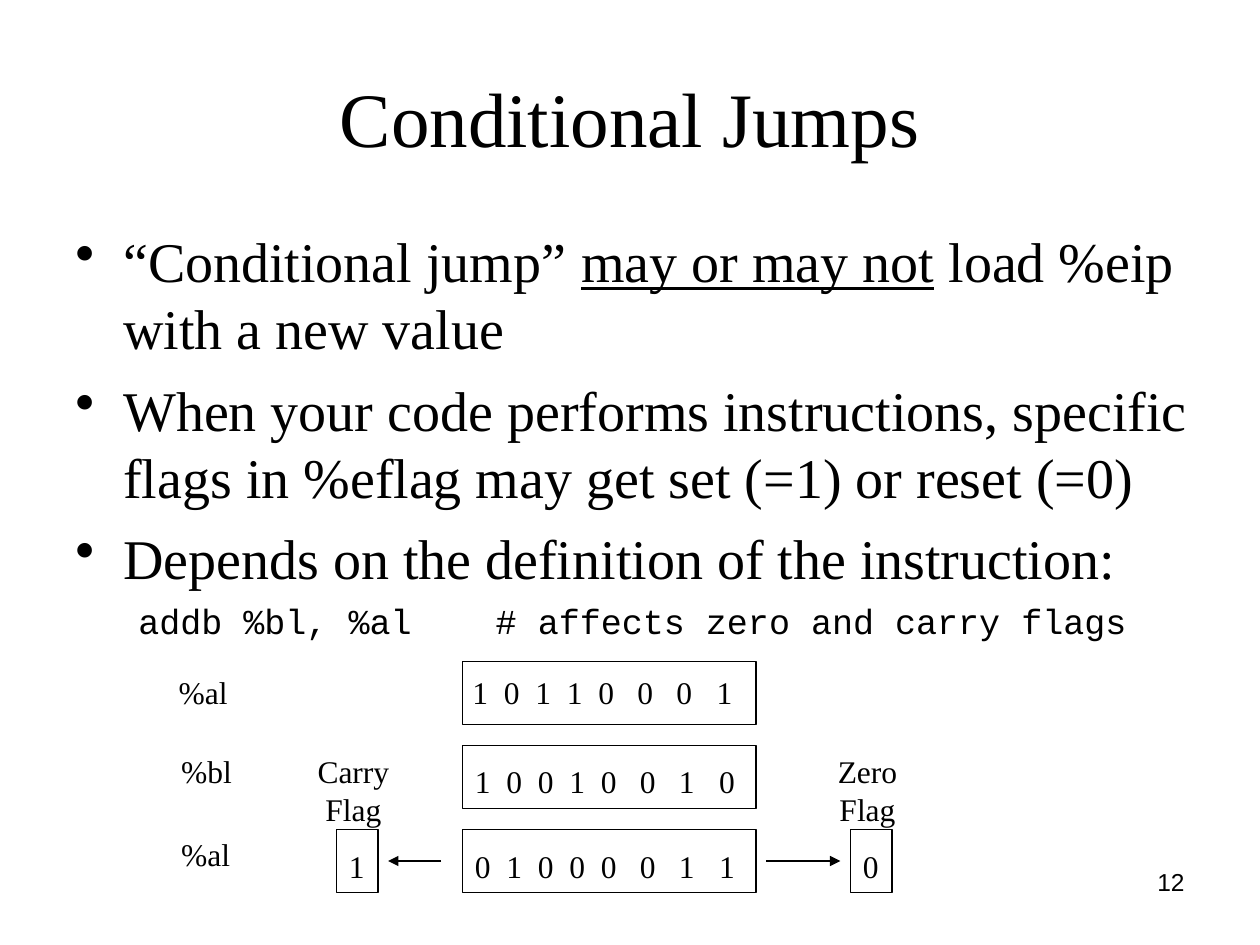
from pptx import Presentation
from pptx.dml.color import RGBColor
from pptx.enum.shapes import MSO_CONNECTOR, MSO_SHAPE
from pptx.enum.text import MSO_ANCHOR, PP_ALIGN
from pptx.oxml.ns import qn
from pptx.util import Inches, Pt
from lxml import etree

BLACK = RGBColor(0, 0, 0)
SERIF, SANS, MONO = "Times New Roman", "Arial", "Courier New"
LEFT, CENTER, RIGHT = PP_ALIGN.LEFT, PP_ALIGN.CENTER, PP_ALIGN.RIGHT
MIDDLE = MSO_ANCHOR.MIDDLE
RECTANGLE = MSO_SHAPE.RECTANGLE
STRAIGHT = MSO_CONNECTOR.STRAIGHT

TITLE = "Conditional Jumps"
BULLETS = [
    [("“Conditional jump” ", False), ("may or may not", True),
     (" load %eip with a new value", False)],
    [("When your code performs instructions, specific flags in %eflag "
      "may get set (=1) or reset (=0)", False)],
    [("Depends on the definition of the instruction:", False)],
]
CODE = "addb %bl, %al    # affects zero and carry flags"
REGISTERS = [
    ("%al", "10110001", (1.32, 5.29), (3.65, 5.29)),
    ("%bl", "10010010", (1.34, 5.92), (3.67, 6)),
    ("%al", "01000011", (1.34, 6.58), (3.67, 6.67)),
]
FLAGS = [
    (("Carry", "Flag"), "1", 2.67, (2.42, 0.77)),
    (("Zero", "Flag"), "0", 6.75, (6.55, 0.67)),
]
ARROWS = [(3.5, 3.08), (6.08, 6.67)]
PAGE_NUMBER = "12"

REGISTER_LEFT, REGISTER_WIDTH = 3.67, 2.33
ROW_TOP, ROW_STEP, ROW_HEIGHT = 5.25, 2 / 3, 0.5
FLAG_TOP = ROW_TOP + 2 * ROW_STEP
FLAG_WIDTH = 0.33
ARROW_Y = FLAG_TOP + ROW_HEIGHT / 2
BIT_STOPS = [0.25, 0.5, 0.75, 1, 1.31, 1.62, 1.94]

deck = Presentation()
deck.slide_width, deck.slide_height = Inches(10), Inches(7.5)
page = deck.slides.add_slide(deck.slide_layouts[5])


def add_span(para, text, size, font=SERIF, underline=False):
    span = para.add_run()
    span.text = text
    span.font.size = Pt(size)
    span.font.name = font
    span.font.color.rgb = BLACK
    if underline:
        span.font.underline = True


def add_text(lines, left, top, width, height, size=18, font=SERIF,
             align=LEFT, wrap=False):
    box = page.shapes.add_textbox(*map(Inches, (left, top, width, height)))
    frame = box.text_frame
    frame.word_wrap = wrap
    for index, line in enumerate(lines):
        para = frame.add_paragraph() if index else frame.paragraphs[0]
        para.alignment = align
        add_span(para, line, size, font)
    return frame


def add_box(left, top, width):
    box = page.shapes.add_shape(
        RECTANGLE, *map(Inches, (left, top, width, ROW_HEIGHT)))
    box.shadow.inherit = False
    box.fill.background()
    box.line.color.rgb = BLACK
    box.line.width = Pt(0.75)


def set_indent(para, margin, indent, bullet=None):
    props = para._p.get_or_add_pPr()
    props.set("marL", str(Inches(margin)))
    props.set("indent", str(Inches(indent)))
    if bullet:
        etree.SubElement(props, qn("a:buChar")).set("char", bullet)


def set_tabs(para, stops):
    tabs = etree.SubElement(para._p.get_or_add_pPr(), qn("a:tabLst"))
    for stop in stops:
        tab = etree.SubElement(tabs, qn("a:tab"))
        tab.set("pos", str(Inches(stop)))
        tab.set("algn", "l")


def add_arrow(start, end):
    arrow = page.shapes.add_connector(
        STRAIGHT, *map(Inches, (start, ARROW_Y, end, ARROW_Y)))
    arrow.line.color.rgb = BLACK
    arrow.line.width = Pt(0.75)
    etree.SubElement(arrow.line._get_or_add_ln(),
                     qn("a:tailEnd")).set("type", "triangle")
    etree.SubElement(arrow._element.spPr, qn("a:effectLst"))


title = page.shapes.title
title.left, title.top, title.width, title.height = map(
    Inches, (0.5, 0.3, 9, 1.25))
title.text_frame.vertical_anchor = MIDDLE
title_para = title.text_frame.paragraphs[0]
title_para.alignment = CENTER
add_span(title_para, TITLE, 44)

body = add_text([], 0.5, 1.75, 9.17, 4.95, wrap=True)
for index, spans in enumerate(BULLETS):
    para = body.add_paragraph() if index else body.paragraphs[0]
    para.space_before = Pt(8)
    set_indent(para, 0.38, -0.38, "•")
    for text, underline in spans:
        add_span(para, text, 32, underline=underline)
code_para = body.add_paragraph()
code_para.level = 1
code_para.space_before = Pt(5)
set_indent(code_para, 0.81, -0.31)
add_span(code_para, CODE, 20, MONO)

for row, (name, bits, name_at, bits_at) in enumerate(REGISTERS):
    add_box(REGISTER_LEFT, ROW_TOP + row * ROW_STEP, REGISTER_WIDTH)
    add_text([name], *name_at, 0.6, 0.4)
    frame = add_text(["\t".join(bits)], *bits_at, 2.33, 0.4, wrap=True)
    set_tabs(frame.paragraphs[0], BIT_STOPS)

for label, value, left, (label_left, label_width) in FLAGS:
    add_box(left, FLAG_TOP, FLAG_WIDTH)
    add_text([value], left, 6.67, 0.32, 0.4)
    add_text(label, label_left, 5.92, label_width, 0.7, align=CENTER)

for start, end in ARROWS:
    add_arrow(start, end)

add_text([PAGE_NUMBER], 7.17, 6.83, 2.33, 0.52, 14, SANS, RIGHT, True)

deck.save("out.pptx")
